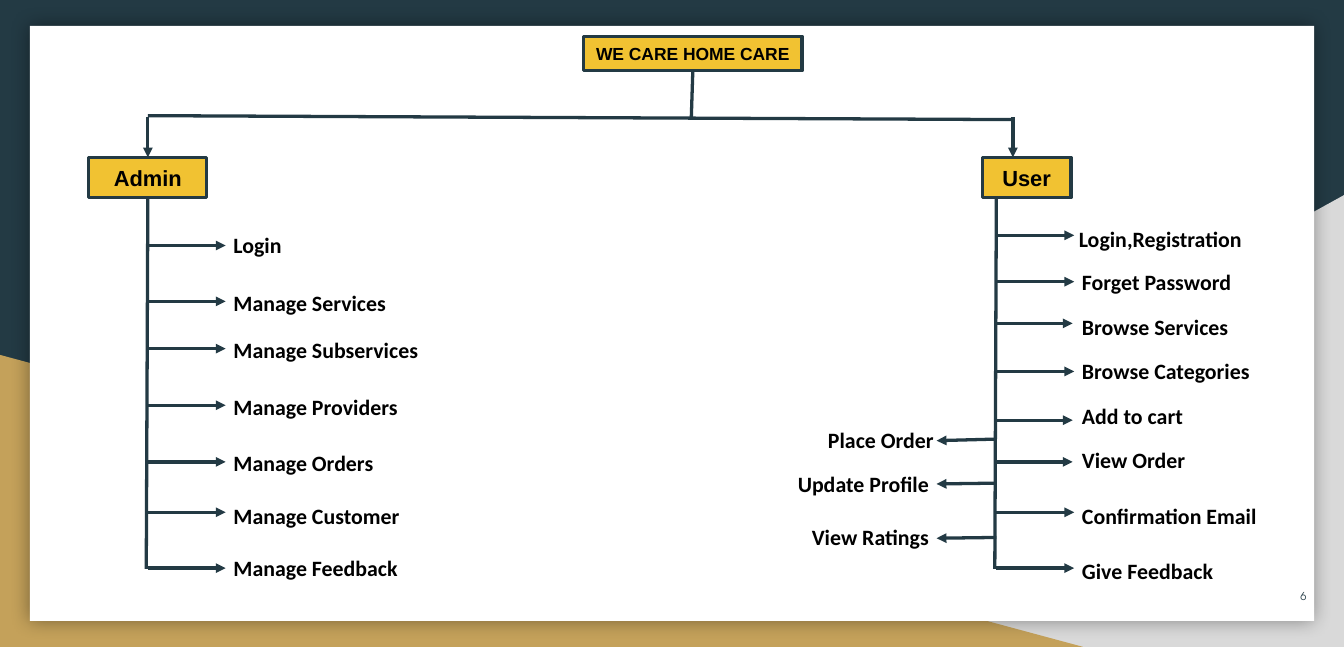
from dataclasses import dataclass

from lxml import etree
from pptx import Presentation
from pptx import util as u
from pptx.dml.color import RGBColor
from pptx.enum import shapes, text
from pptx.oxml import ns

SLIDE_WIDTH, SLIDE_HEIGHT = u.Pt(1230.5), u.Pt(592)
CELL = u.Inches(1)
COLORS = {
    "navy": "233A44", "gold": "C4A15A", "grey": "D9D9D9",
    "paper": "FFFFFF", "yellow": "F1C232", "ink": "000000",
}
ALIGN = text.PP_ALIGN
LABEL_HEIGHT = 0.54


@dataclass(frozen=True)
class Area:
    col: float
    row: float
    cols: float
    rows: float


@dataclass(frozen=True)
class Style:
    size: int = 20
    font: str = "Calibri"
    color: str = "ink"
    bold: bool = True
    align: ALIGN = ALIGN.LEFT
    anchor: text.MSO_ANCHOR = text.MSO_ANCHOR.TOP


@dataclass(frozen=True)
class Role:
    name: str
    area: Area
    size: int = 20


@dataclass(frozen=True)
class Task:
    name: str
    arrow_row: float
    label_row: float
    nudge: float = 0


@dataclass(frozen=True)
class Branch:
    """Tasks whose arrows run from one stem to one column of labels."""
    stem_col: float
    tip_col: float
    label_col: float
    label_cols: float
    tasks: tuple[Task, ...]
    drop: float = 0
    align: ALIGN = ALIGN.LEFT


ROLES = (
    Role("WE CARE HOME CARE", Area(7.42, 0.46, 2.78, 0.44), 16),
    Role("Admin", Area(1.13, 2, 1.5, 0.51)),
    Role("User", Area(12.49, 2, 1.13, 0.51)),
)
BRANCHES = (
    Branch(1.88, 2.87, 2.87, 3.44, (
        Task("Login", 3.12, 2.85),
        Task("Manage Services", 3.83, 3.58),
        Task("Manage Subservices", 4.43, 4.18),
        Task("Manage Providers", 5.15, 4.9),
        Task("Manage Orders", 5.87, 5.62),
        Task("Manage Customer", 6.51, 6.29),
        Task("Manage Feedback", 7.22, 6.95),
    )),
    Branch(12.67, 13.66, 13.62, 2.78, (Task("Login,Registration", 2.99, 2.77),)),
    Branch(12.67, 13.66, 13.66, 3.1, (
        Task("Forget Password", 3.58, 3.31),
        Task("Browse Services", 4.11, 3.88, -0.02),
        Task("Browse Categories", 4.72, 4.45),
        Task("Add to cart", 5.34, 5.02, -0.02),
        Task("View Order", 5.87, 5.58, -0.02),
        Task("Confirmation Email", 6.51, 6.29),
        Task("Give Feedback", 7.22, 6.99),
    )),
    Branch(12.67, 11.91, 10.43, 1.71, (Task("Place Order", 5.58, 5.32),), drop=0.02),
    Branch(12.67, 11.91, 9.77, 2.14, (
        Task("Update Profile", 6.14, 5.88),
        Task("View Ratings", 6.83, 6.56),
    ), drop=0.01, align=ALIGN.RIGHT),
)
TRUNKS = (
    (8.81, 0.9, 8.79, 1.52),
    (1.88, 1.47, 12.88, 1.52),
    (1.88, 2.5, 1.86, 7.23),
    (12.67, 2.5, 12.65, 7.23),
)
ROLE_ARROW_COLS = (1.88, 12.88)


def grid(*cells: float) -> list[int]:
    """Turn grid cells into slide lengths."""
    return [round(cell * CELL) for cell in cells]


def rgb(name: str) -> RGBColor:
    return RGBColor.from_string(COLORS[name])


def write(box, words: str, style: Style) -> None:
    frame = box.text_frame
    frame.word_wrap = True
    frame.vertical_anchor = style.anchor
    frame.margin_left = frame.margin_right = u.Inches(0.1)
    frame.margin_top = frame.margin_bottom = u.Inches(0.1)
    paragraph = frame.paragraphs[0]
    paragraph.text = words
    paragraph.alignment = style.align
    font = paragraph.font
    font.name, font.size, font.bold = style.font, u.Pt(style.size), style.bold
    font.color.rgb = rgb(style.color)


def add_label(slide, area: Area, words: str, style: Style, grow: bool = True) -> None:
    label = slide.shapes.add_textbox(*grid(area.col, area.row, area.cols, area.rows))
    write(label, words, style)
    if grow:
        label.text_frame.auto_size = text.MSO_AUTO_SIZE.SHAPE_TO_FIT_TEXT


def add_block(slide, kind: shapes.MSO_SHAPE, area: Area, fill: str, outline: str = ""):
    block = slide.shapes.add_shape(kind, *grid(area.col, area.row, area.cols, area.rows))
    block.shadow.inherit = False
    block.fill.solid()
    block.fill.fore_color.rgb = rgb(fill)
    if outline:
        block.line.color.rgb = rgb(outline)
        block.line.width = u.Pt(3)
    else:
        block.line.fill.background()
    return block


def add_line(slide, ends: tuple[float, float, float, float], arrow: bool = False) -> None:
    line = slide.shapes.add_connector(shapes.MSO_CONNECTOR.STRAIGHT, *grid(*ends))
    line.line.color.rgb = rgb("navy")
    line.line.width = u.Pt(3)
    if arrow:
        etree.SubElement(line.line._get_or_add_ln(), ns.qn("a:tailEnd"), type="triangle")
    etree.SubElement(line._element.spPr, ns.qn("a:effectLst"))


def add_glow_shadow(block) -> None:
    """Give a block a soft dark shadow on all sides."""
    effects = block._element.spPr.find(ns.qn("a:effectLst"))
    shadow = etree.SubElement(effects, ns.qn("a:outerShdw"),
                              blurRad=str(u.Pt(18)), dist="0", dir="0", rotWithShape="0")
    shade = etree.SubElement(shadow, ns.qn("a:srgbClr"), val=COLORS["ink"])
    etree.SubElement(shade, ns.qn("a:alpha"), val="40000")


def add_backdrop(slide) -> None:
    slide.background.fill.solid()
    slide.background.fill.fore_color.rgb = rgb("navy")
    triangle = shapes.MSO_SHAPE.RIGHT_TRIANGLE
    right_corner = add_block(slide, triangle, Area(6.69, 2.48, 10.4, 5.74), "grey")
    right_corner._element.spPr.xfrm.set("flipH", "1")
    add_block(slide, triangle, Area(0, 4.51, 13.77, 3.71), "gold")
    panel = Area(0.38, 0.33, 16.33, 7.56)
    add_glow_shadow(add_block(slide, shapes.MSO_SHAPE.RECTANGLE, panel, "paper"))


def add_branch(slide, branch: Branch) -> None:
    for task in branch.tasks:
        add_line(slide, (branch.stem_col + task.nudge, task.arrow_row,
                         branch.tip_col + task.nudge, task.arrow_row + branch.drop), arrow=True)
        area = Area(branch.label_col, task.label_row, branch.label_cols, LABEL_HEIGHT)
        add_label(slide, area, task.name, Style(align=branch.align))


def main() -> None:
    deck = Presentation()
    deck.slide_width, deck.slide_height = SLIDE_WIDTH, SLIDE_HEIGHT
    slide = deck.slides.add_slide(deck.slide_layouts[6])
    add_backdrop(slide)
    for role in ROLES:
        block = add_block(slide, shapes.MSO_SHAPE.RECTANGLE, role.area, "yellow", "navy")
        write(block, role.name, Style(role.size, "Arial", align=ALIGN.CENTER,
                                      anchor=text.MSO_ANCHOR.MIDDLE))
    for trunk in TRUNKS:
        add_line(slide, trunk)
    for col in ROLE_ARROW_COLS:
        add_line(slide, (col, 1.49, col, 2), arrow=True)
    for branch in BRANCHES:
        add_branch(slide, branch)
    number_style = Style(10, "TeX Gyre Adventor", "navy", False, ALIGN.RIGHT,
                         text.MSO_ANCHOR.MIDDLE)
    add_label(slide, Area(15.68, 7.26, 1.03, 0.63), "6", number_style, grow=False)
    deck.save("out.pptx")


if __name__ == "__main__":
    main()
